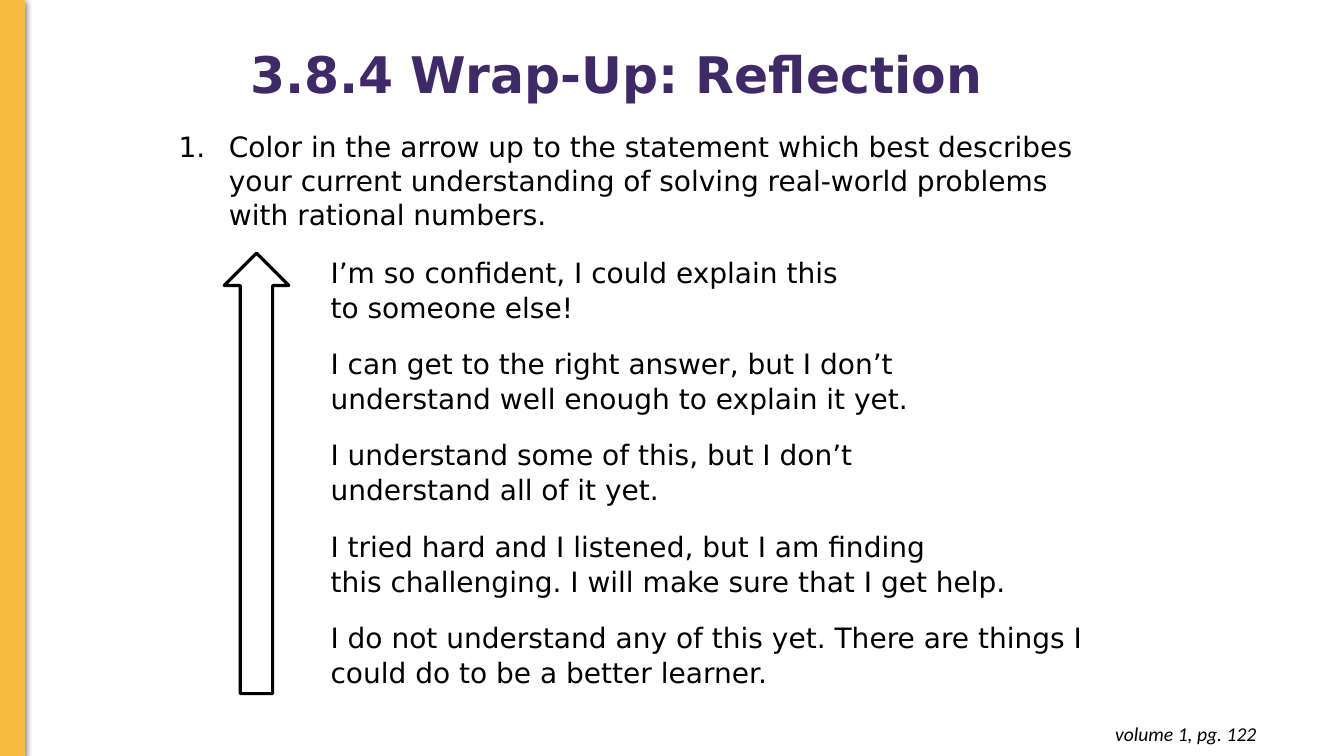
from lxml import etree
from pptx import Presentation
from pptx.dml.color import RGBColor
from pptx.enum.shapes import MSO_SHAPE
from pptx.enum.text import MSO_ANCHOR, PP_ALIGN
from pptx.oxml import parse_xml
from pptx.oxml.ns import nsdecls, qn
from pptx.util import Cm, Pt

COLORS = {"bar": "FABB42", "title": "3F2A67", "text": "000000"}
FONT = "DejaVu Sans"
STATEMENTS = [
    "I’m so confident, I could explain this \vto someone else!",
    "I can get to the right answer, but I don’t \vunderstand well enough to explain it yet.",
    "I understand some of this, but I don’t \vunderstand all of it yet.",
    "I tried hard and I listened, but I am finding \vthis challenging. I will make sure that I get help.",
    "I do not understand any of this yet. There are things I could do to be a better learner.",
]


def rgb(name):
    return RGBColor.from_string(COLORS[name])


def style(p, size, color="text", name=FONT, bold=False, italic=False):
    for r in p.runs:
        r.font.name = name
        r.font.size = Pt(size)
        r.font.bold = bold
        r.font.italic = italic
        r.font.color.rgb = rgb(color)


prs = Presentation()
prs.slide_width = Cm(33.87)
prs.slide_height = Cm(19.05)
s = prs.slides.add_slide(prs.slide_layouts[5])

bar = s.shapes.add_shape(MSO_SHAPE.RECTANGLE, 0, 0, Cm(0.62), Cm(19.07))
bar.fill.solid()
bar.fill.fore_color.rgb = rgb("bar")
bar.line.color.rgb = rgb("bar")
bar.line.width = Pt(0.75)
bar._element.spPr.append(parse_xml(
    f'<a:effectLst {nsdecls("a")}>'
    f'<a:outerShdw blurRad="{Pt(4.5)}" dist="{Pt(1.5)}" dir="5400000" rotWithShape="0">'
    f'<a:srgbClr val="{COLORS["text"]}"><a:alpha val="50000"/></a:srgbClr>'
    '</a:outerShdw></a:effectLst>'))

page = s.shapes.add_textbox(Cm(24.6), Cm(17.95), Cm(7.32), Cm(1.11))
tf = page.text_frame
tf.word_wrap = True
tf.margin_top = tf.margin_bottom = Cm(0.25)
tf.text = "volume 1, pg. 122"
p = tf.paragraphs[0]
p.alignment = PP_ALIGN.RIGHT
style(p, 14, name="Calibri", italic=True)

title = s.shapes.title
title.left, title.top, title.width, title.height = Cm(6.05), Cm(1.11), Cm(22.65), Cm(1.66)
tf = title.text_frame
tf.word_wrap = True
tf.vertical_anchor = MSO_ANCHOR.MIDDLE
tf.text = "3.8.4 Wrap-Up: Reflection"
p = tf.paragraphs[0]
p.alignment = PP_ALIGN.LEFT
p.line_spacing = 0.9
style(p, 36, "title", bold=True)

task = s.shapes.add_textbox(Cm(4.25), Cm(3.15), Cm(23.82), Cm(2.82))
tf = task.text_frame
tf.word_wrap = True
tf.text = ("Color in the arrow up to the statement which best describes your current "
           "understanding of solving real-world problems with rational numbers.")
p = tf.paragraphs[0]
pPr = p._p.get_or_add_pPr()
pPr.set("marL", str(Cm(1.27)))
pPr.set("indent", str(-Cm(1.27)))
color = etree.SubElement(pPr, qn("a:buClr"))
etree.SubElement(color, qn("a:srgbClr"), val=COLORS["text"])
etree.SubElement(pPr, qn("a:buFont"), typeface=FONT)
etree.SubElement(pPr, qn("a:buAutoNum"), type="arabicPeriod")
style(p, 20)

frame = s.shapes.add_table(len(STATEMENTS), 2, Cm(7.47), Cm(6.43), Cm(21.23), Cm(11.5))
table = frame.table
table.first_row = table.horz_banding = False
table._tbl.tblPr.find(qn("a:tableStyleId")).text = "{2D5ABB26-0587-4C30-8999-92F81FD0307C}"
table.columns[0].width = Cm(0.71)
table.columns[1].width = Cm(20.52)
for row, statement in zip(table.rows, STATEMENTS):
    row.height = Cm(2.3)
    for cell in row.cells:
        cell.fill.background()
        cell.margin_left = cell.margin_right = Cm(0.15)
        cell.margin_top = cell.margin_bottom = 0
    p = row.cells[1].text_frame.paragraphs[0]
    p.text = statement
    p.line_spacing = 1.07
    style(p, 20)

arrow = s.shapes.add_shape(MSO_SHAPE.UP_ARROW, Cm(5.65), Cm(6.38), Cm(1.63), Cm(11.1))
arrow.shadow.inherit = False
arrow.fill.background()
arrow.line.color.rgb = rgb("text")
arrow.line.width = Pt(2.25)

prs.save("out.pptx")
